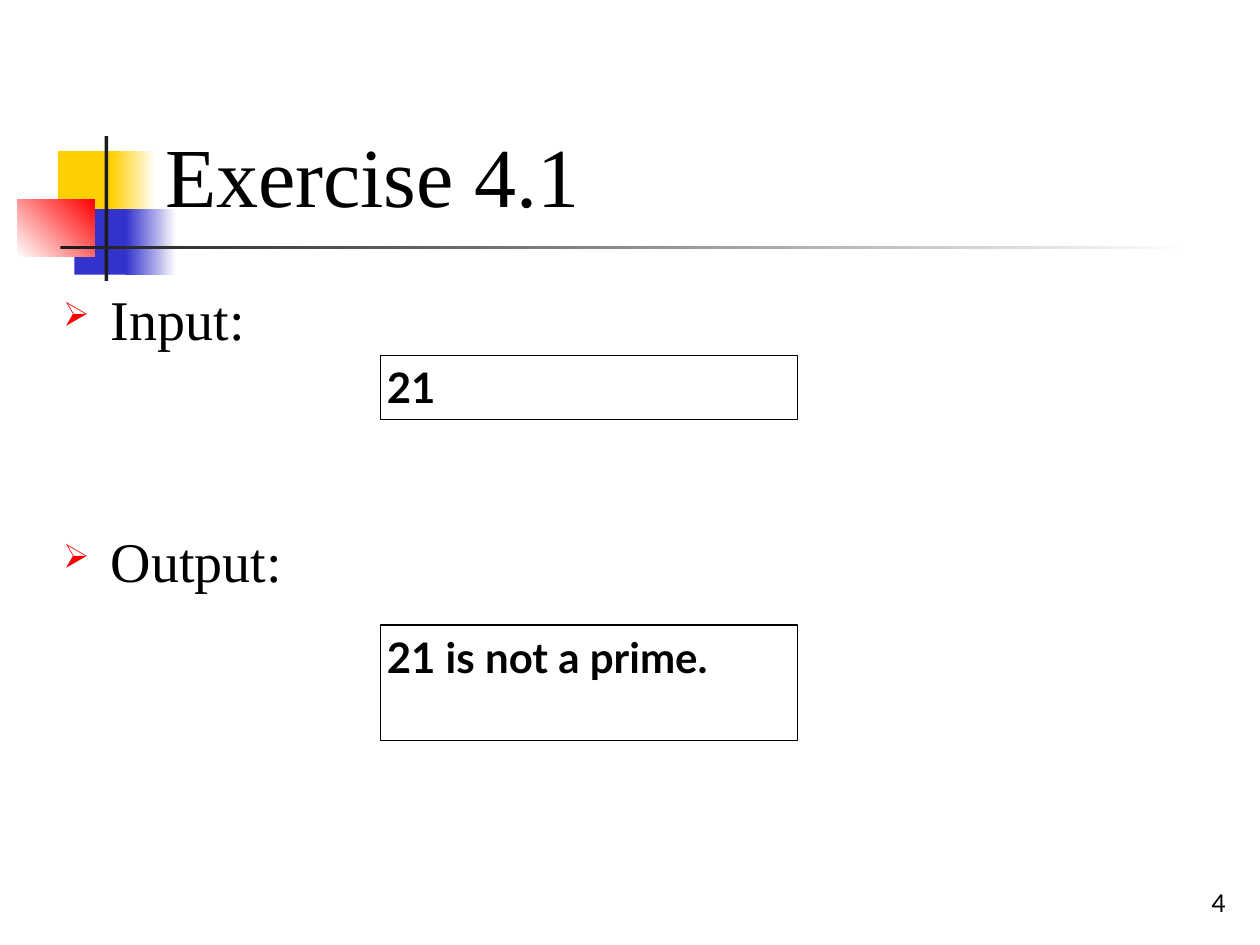
from lxml import etree
from pptx import Presentation
from pptx.dml.color import RGBColor
from pptx.enum import shapes, text
from pptx.oxml import ns
from pptx.util import Inches, Pt

COLORS = {"black": "000000", "white": "FFFFFF", "yellow": "FFCF01",
          "blue": "3333CC", "red": "FF0000", "dark": "1C1C1C"}
SERIF, SANS = "Times New Roman", "Lato"

# left, top, width, height, colours (two make a gradient), gradient angle
ORNAMENTS = [
    (0.46, 1.2, 0.48, 0.52, ["yellow"], 0),
    (0.88, 1.2, 0.36, 0.52, ["yellow", "white"], 0),
    (0.59, 1.66, 0.46, 0.52, ["blue"], 0),
    (1, 1.66, 0.4, 0.52, ["blue", "white"], 0),
    (0.14, 1.58, 0.61, 0.46, ["white", "red"], 45),
    (0.83, 1.08, 0.03, 1.15, ["dark"], 0),
    (0.48, 1.95, 9, 0.03, ["dark", "white"], 0),
]
TITLE = "Exercise 4.1"
PAGE_NUMBER = "4"
HEADINGS = [("Input:", 7), ("Output:", 100)]  # text, space before
SAMPLES = [("21", 2.82, 0.51), ("21 is not a prime.", 4.96, 0.92)]  # text, top, height


def rgb(name):
    """Return the named colour."""
    return RGBColor.from_string(COLORS[name])


def add_rect(slide, *box):
    """Add a plain rectangle without shadow, fill or line."""
    rect = slide.shapes.add_shape(shapes.MSO_SHAPE.RECTANGLE, *map(Inches, box))
    rect.shadow.inherit = False
    rect.fill.background()
    rect.line.fill.background()
    return rect


def paint(rect, names, angle):
    """Fill a rectangle with one colour or a two-colour gradient."""
    if len(names) == 1:
        rect.fill.solid()
        rect.fill.fore_color.rgb = rgb(names[0])
        return
    rect.fill.gradient()
    rect.fill.gradient_angle = angle
    for stop, name, position in zip(rect.fill.gradient_stops, names, (0, 1)):
        stop.color.rgb = rgb(name)
        stop.position = position


def set_frame(holder, anchor=text.MSO_ANCHOR.TOP, wrap=True):
    """Set even margins, anchor and wrapping; return the text frame."""
    frame = holder.text_frame
    frame.margin_left = frame.margin_right = Inches(0.05)
    frame.margin_top = frame.margin_bottom = Inches(0.05)
    frame.vertical_anchor = anchor
    frame.word_wrap = wrap
    return frame


def write(paragraph, words, font, size, bold=False, align=text.PP_ALIGN.LEFT):
    """Put black text in a paragraph."""
    paragraph.text = words
    paragraph.alignment = align
    paragraph.font.name = font
    paragraph.font.size = Pt(size)
    paragraph.font.bold = bold
    paragraph.font.color.rgb = rgb("black")


def add_bullet(paragraph):
    """Give a paragraph a red arrow bullet with a hanging indent."""
    props = paragraph._p.get_or_add_pPr()
    props.set("marL", str(Inches(0.38)))
    props.set("indent", str(-Inches(0.38)))
    color = etree.SubElement(props, ns.qn("a:buClr"))
    etree.SubElement(color, ns.qn("a:srgbClr"), val=COLORS["red"])
    etree.SubElement(props, ns.qn("a:buSzPct"), val="60000")
    etree.SubElement(props, ns.qn("a:buChar"), char="➢")
    # The schema wants the run defaults after the bullet
    props.append(props.find(ns.qn("a:defRPr")))


deck = Presentation()
deck.slide_width, deck.slide_height = Inches(10), Inches(7.5)
title_only, blank = deck.slide_layouts[5], deck.slide_layouts[6]
slide = deck.slides.add_slide(blank)

for *box, names, angle in ORNAMENTS:
    paint(add_rect(slide, *box), names, angle)

title = slide.shapes.add_textbox(*map(Inches, (1.26, 0.23, 8.52, 1.6)))
write(set_frame(title, text.MSO_ANCHOR.BOTTOM).paragraphs[0], TITLE, SERIF, 48)

number = slide.shapes.add_textbox(*map(Inches, (9.56, 6.99, 0.22, 0.34)))
write(set_frame(number, text.MSO_ANCHOR.BOTTOM, wrap=False).paragraphs[0],
      PAGE_NUMBER, SANS, 14, align=text.PP_ALIGN.RIGHT)

body = set_frame(slide.shapes.add_textbox(*map(Inches, (0.45, 2.21, 9.32, 5.17))))
for index, (heading, gap) in enumerate(HEADINGS):
    paragraph = body.add_paragraph() if index else body.paragraphs[0]
    write(paragraph, heading, SERIF, 32)
    paragraph.space_before = Pt(gap)
    add_bullet(paragraph)

for sample, top, height in SAMPLES:
    frame = add_rect(slide, 3.02, top, 3.31, height)
    frame.line.color.rgb = rgb("black")
    frame.line.width = Pt(0.75)
    write(set_frame(frame).paragraphs[0], sample, SANS, 24, bold=True)

deck.save("out.pptx")
